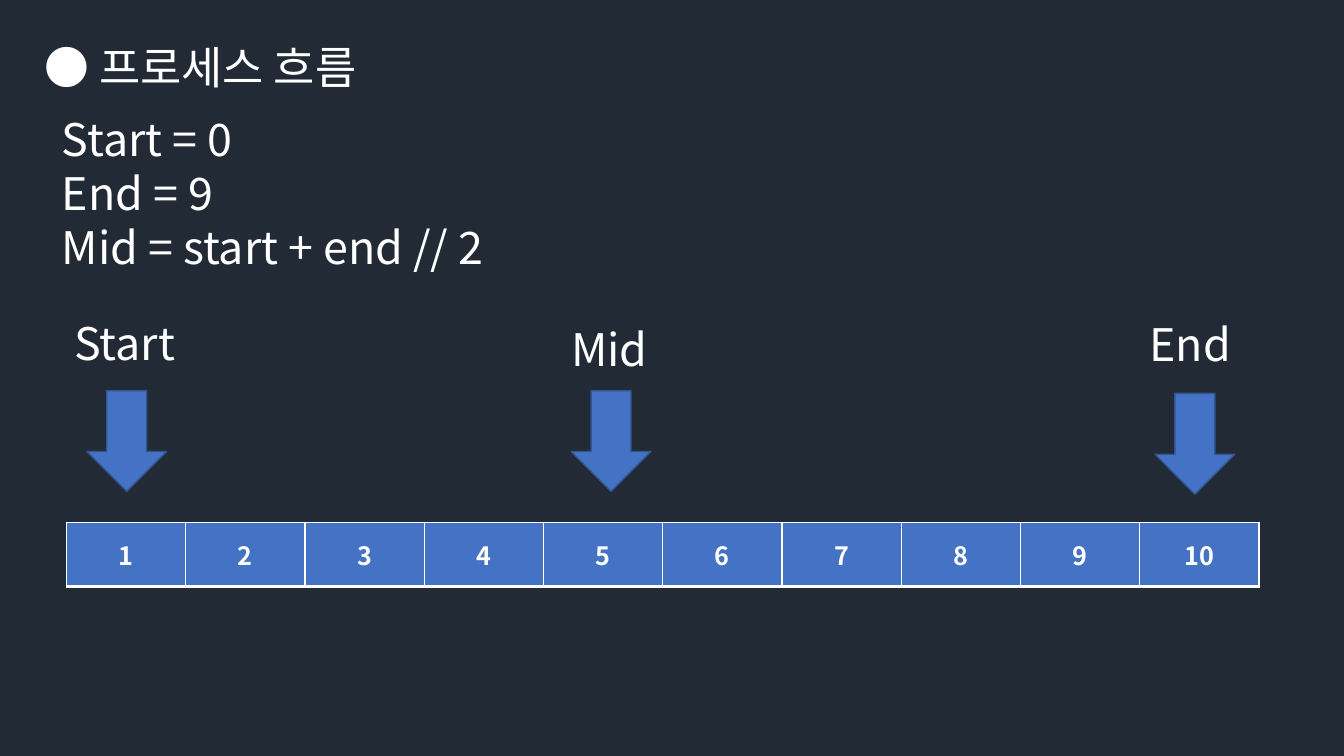
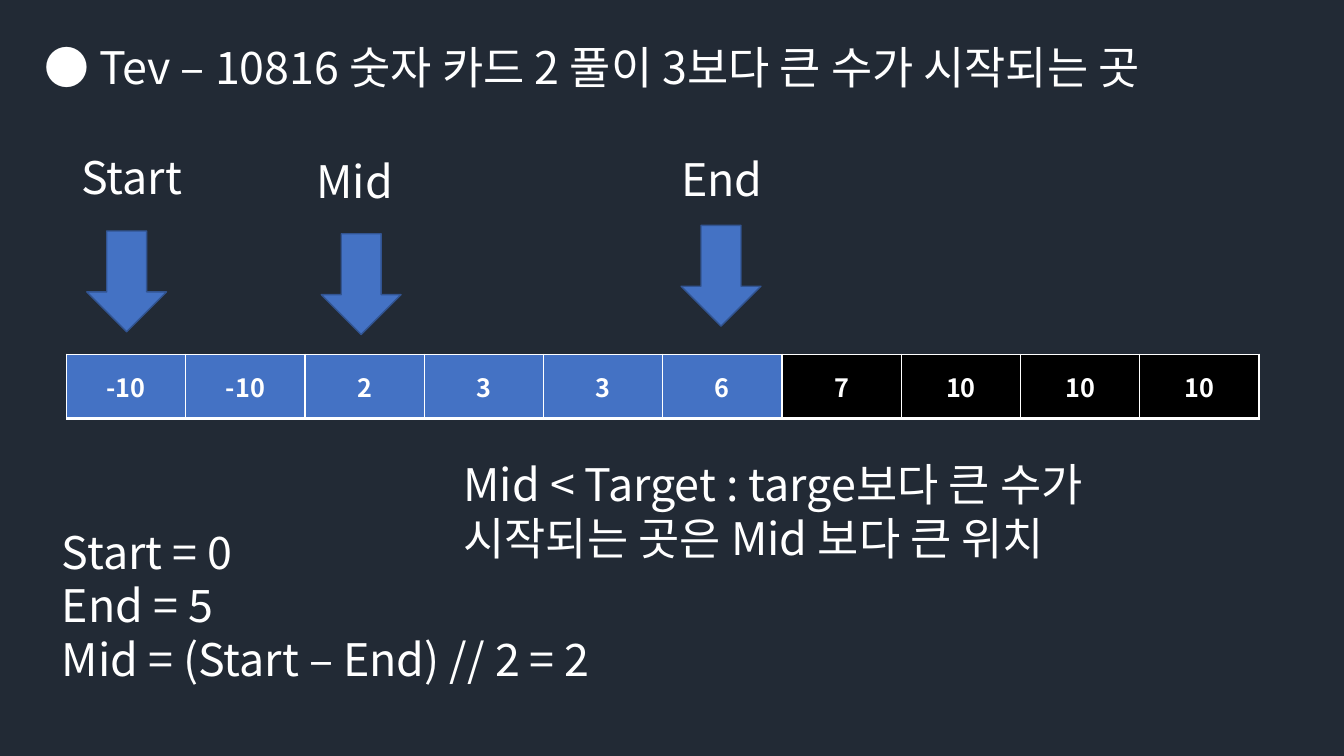
import pptx
import pptx.dml.color
import pptx.enum.shapes
import pptx.enum.text
import pptx.oxml
import pptx.oxml.ns
import pptx.util

Pt = pptx.util.Pt

COLORS = {
    "background": "222A35",
    "text": "FFFFFF",
    "active": "4472C4",
    "excluded": "000000",
    "arrow_line": "325491",
}
FONT = "Noto Sans CJK KR"
BODY_FORMAT = {"name": FONT, "size": Pt(32), "bold": False}
CELL_FORMAT = {"name": FONT, "size": Pt(18), "bold": True}
BORDER_WIDTHS = {"lnL": 1, "lnR": 1, "lnT": 1, "lnB": 3}

TABLE_LEFT, COLUMN_WIDTH, ROW_HEIGHT = 47.5, 85.2, 46
ARROW_WIDTH, ARROW_HEIGHT = 57, 72
LABEL_WIDTH, LINE_HEIGHT = 89, 46


def rgb(name):
    return pptx.dml.color.RGBColor.from_string(COLORS[name])


def format_paragraph(paragraph, text, format_values):
    run = paragraph.add_run()
    run.text = text
    for attribute, value in format_values.items():
        setattr(run.font, attribute, value)
    run.font.color.rgb = rgb("text")
    # Korean glyphs take the East Asian typeface
    east_asian = pptx.oxml.parse_xml(
        f'<a:ea {pptx.oxml.ns.nsdecls("a")} typeface="{FONT}"/>')
    run.font._element.append(east_asian)


def add_text(slide, lines, left, top, width, height=LINE_HEIGHT):
    box = slide.shapes.add_textbox(Pt(left), Pt(top), Pt(width), Pt(height))
    frame = box.text_frame
    frame.word_wrap = True
    for index, line in enumerate(lines):
        paragraph = frame.add_paragraph() if index else frame.paragraphs[0]
        format_paragraph(paragraph, line, BODY_FORMAT)


def add_arrow(slide, left, top):
    arrow = slide.shapes.add_shape(
        pptx.enum.shapes.MSO_SHAPE.DOWN_ARROW,
        Pt(left), Pt(top), Pt(ARROW_WIDTH), Pt(ARROW_HEIGHT))
    arrow.shadow.inherit = False
    arrow.fill.solid()
    arrow.fill.fore_color.rgb = rgb("active")
    arrow.line.color.rgb = rgb("arrow_line")
    arrow.line.width = Pt(1)


def add_pointer(slide, label, label_position, arrow_position):
    add_text(slide, [label], *label_position, LABEL_WIDTH)
    add_arrow(slide, *arrow_position)


def add_borders(cell):
    properties = cell._tc.get_or_add_tcPr()
    for index, (side, width) in enumerate(BORDER_WIDTHS.items()):
        # Borders come before the fill
        properties.insert(index, pptx.oxml.parse_xml(
            f'<a:{side} {pptx.oxml.ns.nsdecls("a")} w="{Pt(width)}"><a:solidFill>'
            f'<a:srgbClr val="{COLORS["text"]}"/></a:solidFill></a:{side}>'))


def add_array(slide, values, top, active_count):
    count = len(values)
    table = slide.shapes.add_table(
        1, count, Pt(TABLE_LEFT), Pt(top),
        Pt(COLUMN_WIDTH * count), Pt(ROW_HEIGHT)).table
    table.rows[0].height = Pt(ROW_HEIGHT)
    for index, value in enumerate(values):
        table.columns[index].width = Pt(COLUMN_WIDTH)
        cell = table.cell(0, index)
        cell.fill.solid()
        cell.fill.fore_color.rgb = rgb("active" if index < active_count else "excluded")
        cell.vertical_anchor = pptx.enum.text.MSO_ANCHOR.MIDDLE
        paragraph = cell.text_frame.paragraphs[0]
        paragraph.alignment = pptx.enum.text.PP_ALIGN.CENTER
        format_paragraph(paragraph, str(value), CELL_FORMAT)
        add_borders(cell)


def add_slide(presentation, title):
    slide = presentation.slides.add_slide(presentation.slide_layouts[6])
    slide.background.fill.solid()
    slide.background.fill.fore_color.rgb = rgb("background")
    add_text(slide, [f"● {title}"], 24.5, 24.5, 884)
    return slide


def add_process_slide(presentation):
    slide = add_slide(presentation, "프로세스 흐름")
    add_text(slide, ["Start = 0", "End = 9", "Mid = start + end // 2"], 37, 76.5, 374, 124)
    add_array(slide, range(1, 11), 373, 10)
    add_pointer(slide, "Start", (46, 222), (62, 279))
    add_pointer(slide, "Mid", (401, 226), (408, 279))
    add_pointer(slide, "End", (814, 222.5), (825, 281))


def add_search_slide(presentation):
    slide = add_slide(presentation, "Tev – 10816 숫자 카드 2 풀이 3보다 큰 수가 시작되는 곳")
    add_array(slide, [-10, -10, 2, 3, 3, 6, 7, 10, 10, 10], 253, 6)
    add_pointer(slide, "Start", (51, 103.5), (62, 165))
    add_pointer(slide, "Mid", (219, 106), (229.5, 167))
    add_pointer(slide, "End", (479.5, 104.5), (486.5, 161))
    add_text(slide, ["Start = 0", "End = 5", "Mid = (Start – End) // 2 = 2"], 37, 371, 664, 124)
    add_text(slide, ["Mid < Target : targe보다 큰 수가 시작되는 곳은 Mid 보다 큰 위치"],
             324, 322.5, 531, 85)


def main():
    presentation = pptx.Presentation()
    presentation.slide_width, presentation.slide_height = Pt(960), Pt(540)
    add_process_slide(presentation)
    add_search_slide(presentation)
    presentation.save("out.pptx")


if __name__ == "__main__":
    main()
